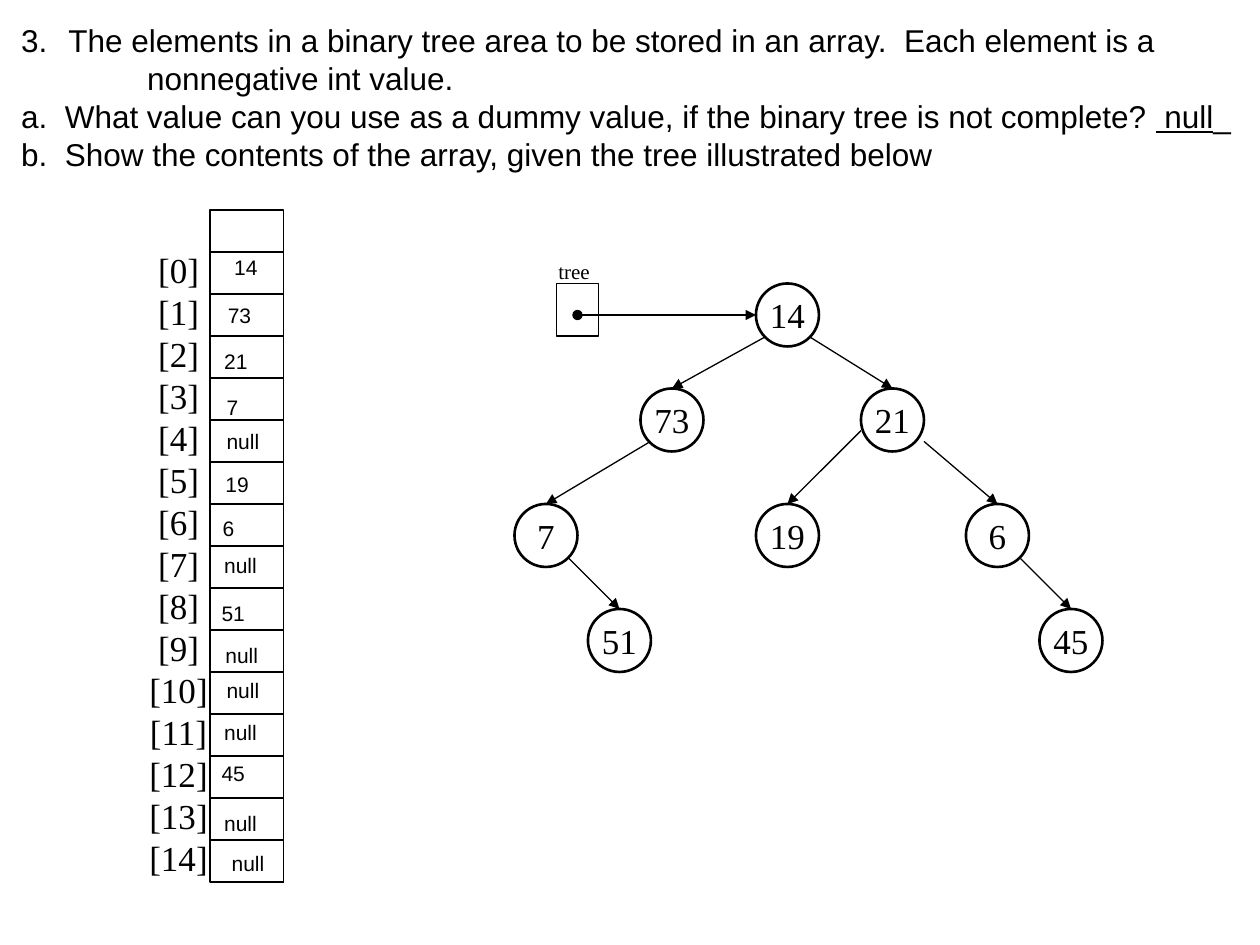
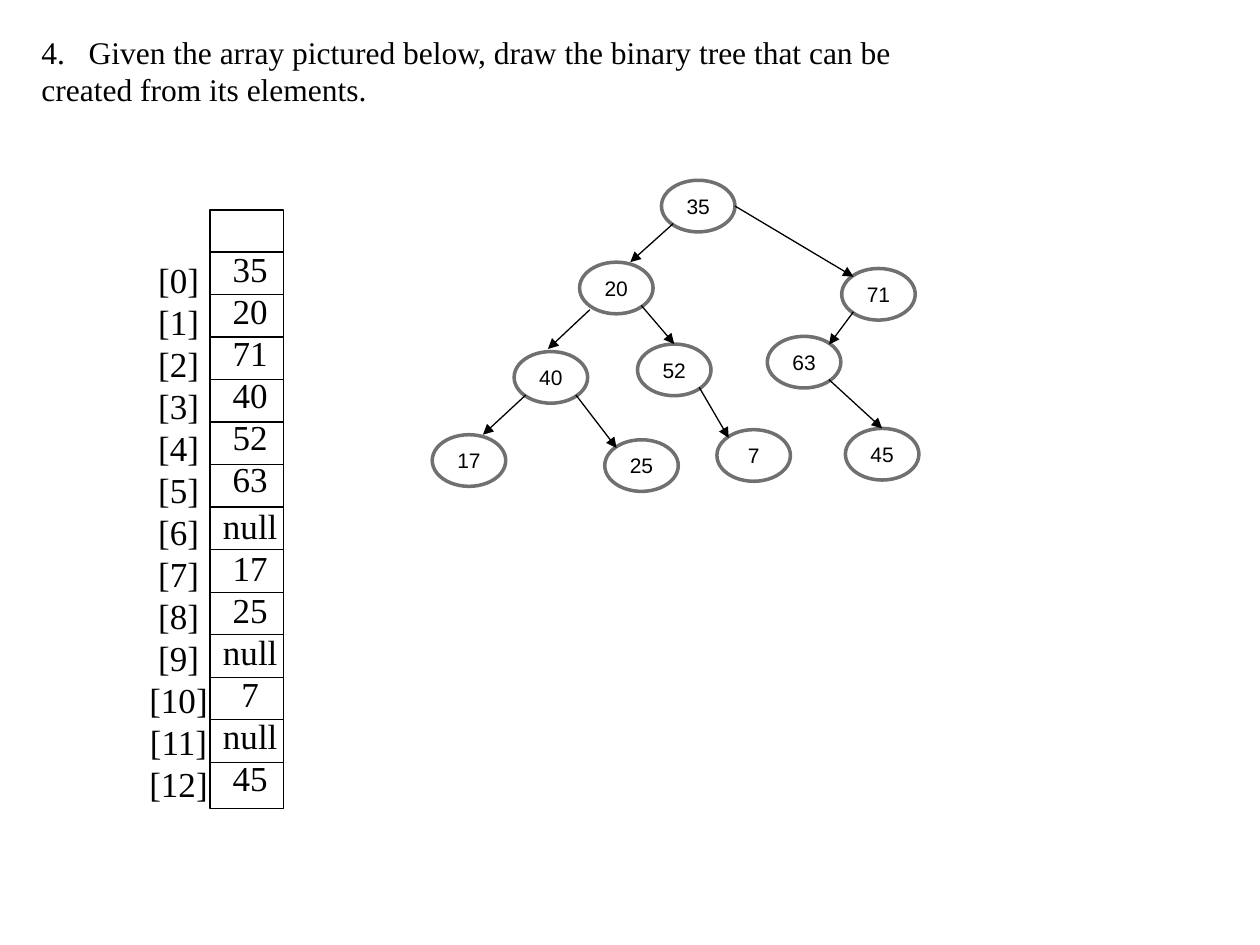
from typing import NamedTuple

from lxml import etree
from pptx import Presentation
from pptx.dml.color import RGBColor
from pptx.enum import shapes, text
from pptx.oxml.ns import qn
from pptx.util import Pt

BLACK = RGBColor(0x00, 0x00, 0x00)
WHITE = RGBColor(0xFF, 0xFF, 0xFF)
GREY = RGBColor(0x70, 0x70, 0x70)
SANS, SERIF = "Arial", "Times New Roman"
INSET = 7.2
LINE_HEIGHT = 1.2

# Array column shared by both slides
COLUMN_LEFT, COLUMN_TOP, COLUMN_WIDTH, ROW = 120, 120, 42, 24


class Para(NamedTuple):
    """Runs are (text, underlined); number starts an automatic list."""
    runs: list
    margin: float = 0
    indent: float = 0
    number: int = 0
    before: float = 0


class Look(NamedTuple):
    width: float
    height: float
    font: str
    size: float
    outline: RGBColor
    weight: float
    fill: RGBColor = None


QUESTION_3 = [
    Para([("The elements in a binary tree area to be stored in an array.  Each element is a", False)],
         27, -27, number=3),
    Para([("nonnegative int value.", False)], 99, -27),
    Para([("a.  What value can you use as a dummy value, if the binary tree is not complete? ", False),
          (" null", True), ("_", False)], 27, -27),
    Para([("b.  Show the contents of the array, given the tree illustrated below", False)], 27, -27),
]
QUESTION_4 = [
    Para([("Given the array pictured below, draw the binary tree that can be", False)],
         27, -27, number=4),
    Para([("created from its elements.", False)]),
]

# Handwritten-style answers: value, left, top
ANSWERS_3 = [
    ("14", 126.7, 141.8), ("73", 123.1, 169.2), ("21", 121, 195.8), ("7", 122.4, 221.8),
    ("null", 122.4, 241.2), ("19", 121.7, 265.7), ("6", 120.2, 290.9), ("null", 121, 312.5),
    ("51", 119.5, 339.8), ("null", 121.7, 363.6), ("null", 122.4, 383.8), ("null", 121, 407.5),
    ("45", 119.5, 431.3), ("null", 121, 459.4), ("null", 125.3, 482.4),
]
ANSWERS_4 = ["35", "20", "71", "40", "52", "63", "null", "17", "25", "null", "7", "null", "45"]

# Points on a node, as shares of its width and height
N, E = (0.5, 0), (1, 0.5)
NW, NE, SW, SE = (0.16, 0.16), (0.84, 0.16), (0.16, 0.84), (0.84, 0.84)
NORTH_RIGHT = (0.69, 0)

# Nodes: value -> left, top. Edges: parent, point on it, child, point on it
NODES_3 = {
    "14": (432, 162), "73": (366, 222), "21": (492, 222), "7": (294, 288),
    "51": (336, 348), "19": (432, 288), "6": (552, 288), "45": (594, 348),
}
EDGES_3 = [
    ("14", SW, "73", N), ("14", SE, "21", N), ("73", SW, "7", N), ("21", (0, 0.67), "19", N),
    ("7", SE, "51", N), ("21", (1, 0.84), "6", N), ("6", SE, "45", N),
]
NODES_4 = {
    "35": (378, 103), "20": (331.2, 149.8), "71": (481, 153.4), "40": (293.8, 200.9),
    "17": (247, 248.4), "25": (345.6, 251.3), "52": (364.3, 196.6), "63": (438.5, 192.2),
    "7": (409.7, 245.5), "45": (483.1, 244.8),
}
EDGES_4 = [
    ("35", SW, "20", NORTH_RIGHT), ("35", E, "71", NW), ("20", (0.14, 0.92), "40", (0.46, -0.05)),
    ("20", SE, "52", N), ("40", SW, "17", NORTH_RIGHT), ("40", SE, "25", NW),
    ("71", SW, "63", NE), ("52", SE, "7", NW), ("63", SE, "45", N),
]
CIRCLE = Look(36, 36, SERIF, 20, BLACK, 1.5)
OVAL = Look(42, 29.5, SANS, 12, GREY, 2, WHITE)


def plain(words):
    return [Para([(word, False)]) for word in words]


def write(frame, paras, font, size, align=text.PP_ALIGN.LEFT):
    frame.word_wrap = False
    for i, para in enumerate(paras):
        p = frame.paragraphs[0] if i == 0 else frame.add_paragraph()
        p.alignment = align
        p.line_spacing = Pt(LINE_HEIGHT * size)
        p.space_before = Pt(para.before)
        props = p._p.get_or_add_pPr()
        props.set("marL", str(Pt(para.margin)))
        props.set("indent", str(Pt(para.indent)))
        if para.number:
            etree.SubElement(props, qn("a:buAutoNum"), type="arabicPeriod", startAt=str(para.number))
        for words, underlined in para.runs:
            run = p.add_run()
            run.text = words
            run.font.name, run.font.size = font, Pt(size)
            run.font.color.rgb = BLACK
            if underlined:
                run.font.underline = True


def add_text(slide, left, top, width, paras, font, size, align=text.PP_ALIGN.LEFT):
    height = len(paras) * LINE_HEIGHT * size + sum(p.before for p in paras) + INSET
    box = slide.shapes.add_textbox(Pt(left), Pt(top), Pt(width), Pt(height))
    write(box.text_frame, paras, font, size, align)


def add_outline(slide, kind, left, top, width, height, color=BLACK, weight=0.75, fill=None):
    shape = slide.shapes.add_shape(kind, Pt(left), Pt(top), Pt(width), Pt(height))
    shape.shadow.inherit = False
    shape.line.color.rgb, shape.line.width = color, Pt(weight)
    if fill is None:
        shape.fill.background()
    else:
        shape.fill.solid()
        shape.fill.fore_color.rgb = fill
    return shape


def add_line(slide, start, end, head=None, tail=None):
    line = slide.shapes.add_connector(shapes.MSO_CONNECTOR.STRAIGHT, *map(Pt, (*start, *end)))
    line.line.color.rgb, line.line.width = BLACK, Pt(0.75)
    props = line._element.spPr
    for tag, ending in (("a:headEnd", head), ("a:tailEnd", tail)):
        if ending:
            etree.SubElement(props.find(qn("a:ln")), qn(tag), type=ending)
    etree.SubElement(props, qn("a:effectLst"))


def add_array(slide, count, height, row, rules, labels_top):
    """Column with an empty top cell, its dividing rules and the index labels."""
    add_outline(slide, shapes.MSO_SHAPE.RECTANGLE, COLUMN_LEFT, COLUMN_TOP, COLUMN_WIDTH, height)
    add_text(slide, 78, labels_top, 48, plain(f"[{i}]" for i in range(count)),
             SERIF, 20, text.PP_ALIGN.CENTER)
    for i in range(rules):
        y = COLUMN_TOP + ROW + i * row
        add_line(slide, (COLUMN_LEFT, y), (COLUMN_LEFT + COLUMN_WIDTH, y))


def add_tree(slide, nodes, edges, look):
    def place(value, share):
        left, top = nodes[value]
        return left + share[0] * look.width, top + share[1] * look.height

    for value, (left, top) in nodes.items():
        node = add_outline(slide, shapes.MSO_SHAPE.OVAL, left, top, look.width, look.height,
                           look.outline, look.weight, look.fill)
        node.text_frame.vertical_anchor = text.MSO_ANCHOR.MIDDLE
        write(node.text_frame, plain([value]), look.font, look.size, text.PP_ALIGN.CENTER)
    for parent, leave, child, arrive in edges:
        add_line(slide, place(parent, leave), place(child, arrive), tail="triangle")


def build_tree_to_array(slide):
    add_text(slide, 5, 8.6, 712, QUESTION_3, SANS, 18)
    add_tree(slide, NODES_3, EDGES_3, CIRCLE)
    add_outline(slide, shapes.MSO_SHAPE.RECTANGLE, 318, 162, 24, 30)
    add_line(slide, (330, 180), (432, 180), head="oval", tail="triangle")
    add_text(slide, 312, 144, 32.4, plain(["tree"]), SERIF, 12)
    count = len(ANSWERS_3)
    add_array(slide, count, ROW * (count + 1), ROW, count + 1, 138.2)
    for value, left, top in ANSWERS_3:
        add_text(slide, left, top, 35.3, plain([value]), SANS, 12)
        slide.shapes[-1].text_frame.word_wrap = True


def build_array_to_tree(slide):
    add_text(slide, 16.6, 15.1, 505.4, QUESTION_4, SERIF, 18)
    count = len(ANSWERS_4)
    add_array(slide, count, 342, 24.3, count, 144)
    values = plain(ANSWERS_4)
    first_null = ANSWERS_4.index("null")
    values[first_null] = values[first_null]._replace(before=3)
    add_text(slide, COLUMN_LEFT, 137.8, 46, values, SERIF, 20, text.PP_ALIGN.CENTER)
    add_tree(slide, NODES_4, EDGES_4, OVAL)


def main():
    deck = Presentation()
    deck.slide_width, deck.slide_height = Pt(720), Pt(540)
    for build in (build_tree_to_array, build_array_to_tree):
        build(deck.slides.add_slide(deck.slide_layouts[6]))
    deck.save("out.pptx")


if __name__ == "__main__":
    main()
